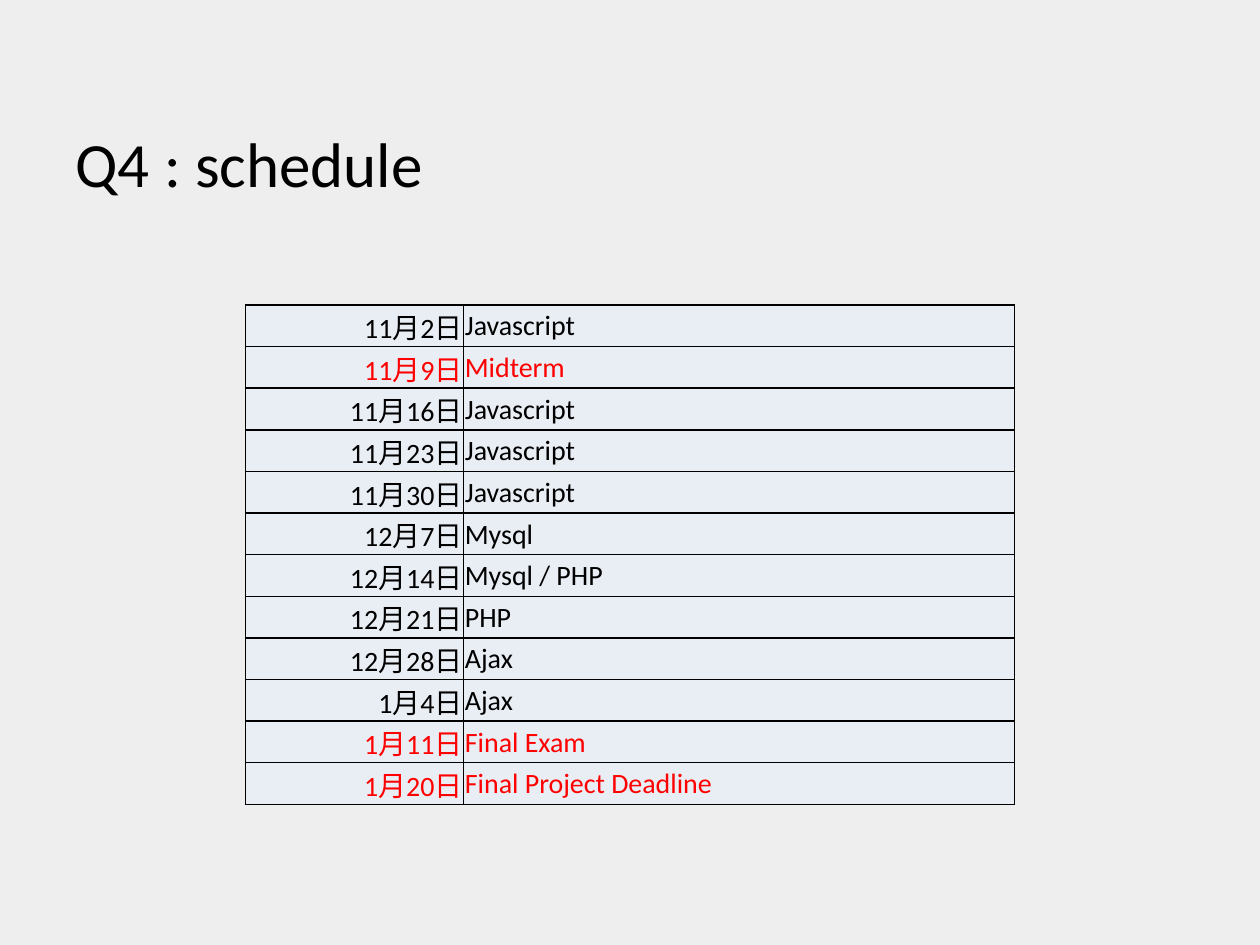
import dataclasses

import pptx
import pptx.dml.color
import pptx.enum.text
import pptx.oxml
import pptx.oxml.ns
import pptx.util

RGBColor = pptx.dml.color.RGBColor
PP_ALIGN = pptx.enum.text.PP_ALIGN
MSO_ANCHOR = pptx.enum.text.MSO_ANCHOR

BACKGROUND = RGBColor(0xEE, 0xEE, 0xEE)
CELL_FILL = RGBColor(0xE9, 0xED, 0xF4)
BLACK = RGBColor(0, 0, 0)
RED = RGBColor(0xFF, 0, 0)
FONT = "Calibri"

SLIDE_WIDTH = pptx.util.Inches(10)
SLIDE_HEIGHT = pptx.util.Inches(7.5)
COLUMN_WIDTHS = (pptx.util.Inches(1.73), pptx.util.Inches(4.37))
ROW_HEIGHT = pptx.util.Inches(0.33)
CELL_MARGIN = pptx.util.Inches(0.01)


@dataclasses.dataclass(frozen=True)
class Session:
    date: str
    topic: str
    color: RGBColor = BLACK


SESSIONS = (
    Session("11月2日", "Javascript"),
    Session("11月9日", "Midterm", RED),
    Session("11月16日", "Javascript"),
    Session("11月23日", "Javascript"),
    Session("11月30日", "Javascript"),
    Session("12月7日", "Mysql"),
    Session("12月14日", "Mysql / PHP"),
    Session("12月21日", "PHP"),
    Session("12月28日", "Ajax"),
    Session("1月4日", "Ajax"),
    Session("1月11日", "Final Exam", RED),
    Session("1月20日", "Final Project Deadline", RED),
)


def format_paragraph(paragraph, size: float, color: RGBColor, alignment) -> None:
    paragraph.alignment = alignment
    paragraph.font.name = FONT
    paragraph.font.size = pptx.util.Pt(size)
    paragraph.font.color.rgb = color


def add_title(slide, text: str) -> None:
    title = slide.shapes.title
    title.left, title.width = int(SLIDE_WIDTH * 0.05), int(SLIDE_WIDTH * 0.9)
    title.top, title.height = pptx.util.Inches(0.39), pptx.util.Inches(1.25)
    title.text_frame.text = text
    title.text_frame.vertical_anchor = MSO_ANCHOR.BOTTOM
    format_paragraph(title.text_frame.paragraphs[0], 36, BLACK, PP_ALIGN.LEFT)


def add_borders(cell, width: float, color: RGBColor) -> None:
    """Line all four sides; the lines must come before the cell's fill."""
    properties = cell._tc.get_or_add_tcPr()
    for position, side in enumerate(("lnL", "lnR", "lnT", "lnB")):
        properties.insert(position, pptx.oxml.parse_xml(
            f'<a:{side} {pptx.oxml.ns.nsdecls("a")} w="{pptx.util.Pt(width)}">'
            f'<a:solidFill><a:srgbClr val="{color}"/></a:solidFill></a:{side}>'))


def fill_cell(cell, text: str, color: RGBColor, alignment) -> None:
    cell.text = text
    cell.vertical_anchor = MSO_ANCHOR.MIDDLE
    cell.margin_left = cell.margin_right = cell.margin_top = CELL_MARGIN
    cell.margin_bottom = 0
    cell.fill.solid()
    cell.fill.fore_color.rgb = CELL_FILL
    add_borders(cell, 1, BLACK)
    format_paragraph(cell.text_frame.paragraphs[0], 16, color, alignment)


def add_schedule(slide, sessions: tuple[Session, ...]) -> None:
    width = sum(COLUMN_WIDTHS)
    table = slide.shapes.add_table(
        len(sessions), len(COLUMN_WIDTHS), (SLIDE_WIDTH - width) // 2,
        pptx.util.Inches(2.42), width, ROW_HEIGHT * len(sessions)).table
    for column, column_width in zip(table.columns, COLUMN_WIDTHS):
        column.width = column_width
    for index, session in enumerate(sessions):
        table.rows[index].height = ROW_HEIGHT
        fill_cell(table.cell(index, 0), session.date, session.color, PP_ALIGN.RIGHT)
        fill_cell(table.cell(index, 1), session.topic, session.color, PP_ALIGN.LEFT)


def main() -> None:
    presentation = pptx.Presentation()
    presentation.slide_width = SLIDE_WIDTH
    presentation.slide_height = SLIDE_HEIGHT
    slide = presentation.slides.add_slide(
        presentation.slide_layouts.get_by_name("Title Only"))
    slide.background.fill.solid()
    slide.background.fill.fore_color.rgb = BACKGROUND
    add_title(slide, "Q4 : schedule")
    add_schedule(slide, SESSIONS)
    presentation.save("out.pptx")


if __name__ == "__main__":
    main()
